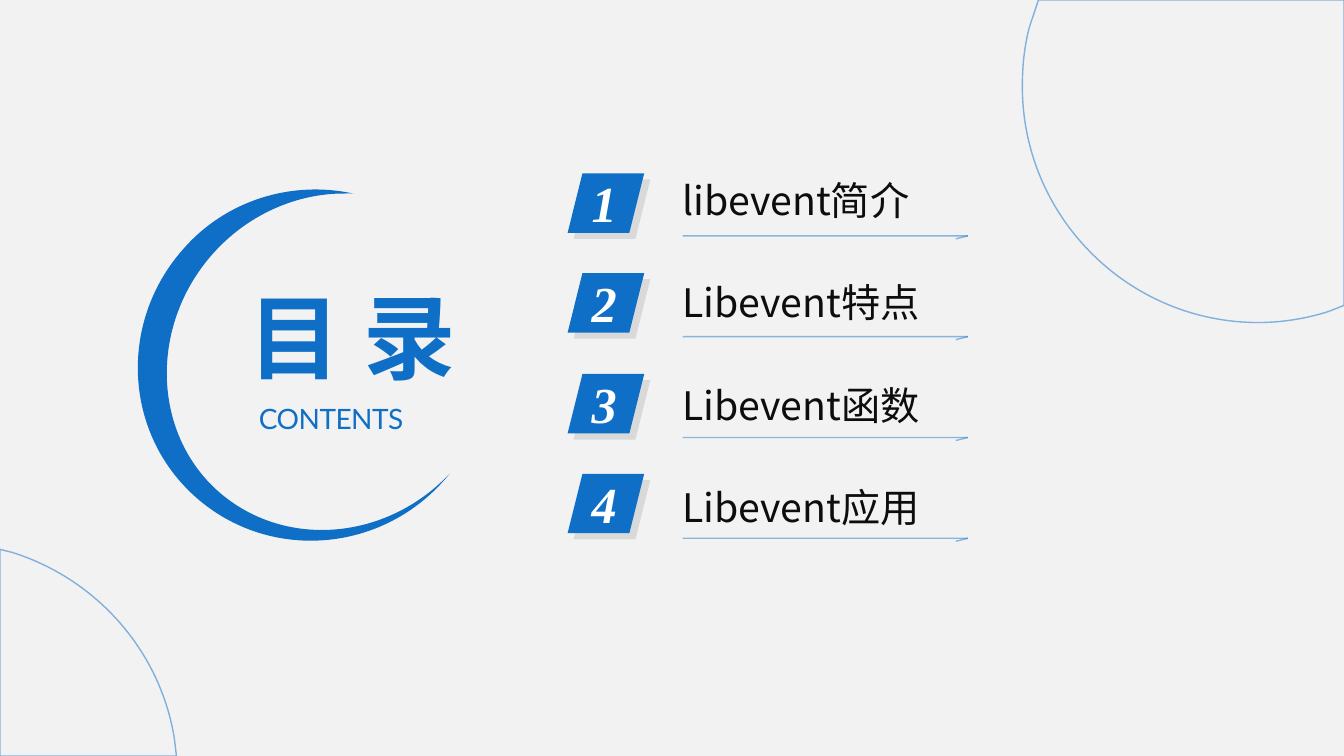
from math import cos, radians, sin

from lxml import etree
from pptx import Presentation
from pptx.dml.color import RGBColor
from pptx.enum.shapes import MSO_CONNECTOR, MSO_SHAPE
from pptx.enum.text import MSO_ANCHOR, PP_ALIGN
from pptx.oxml.ns import qn
from pptx.util import Pt

PX = 9144  # 100 px to the inch
BLUE = RGBColor(0x0F, 0x6F, 0xC6)
PALE = RGBColor(0xF2, 0xF2, 0xF2)
GREY = RGBColor(0xD9, 0xD9, 0xD9)
INK = RGBColor(0x0D, 0x0D, 0x0D)
WHITE = RGBColor(0xFF, 0xFF, 0xFF)
PARALLELOGRAM = MSO_SHAPE.PARALLELOGRAM
STRAIGHT = MSO_CONNECTOR.STRAIGHT
MIDDLE = MSO_ANCHOR.MIDDLE
LEFT = PP_ALIGN.LEFT

prs = Presentation()
prs.slide_width, prs.slide_height = 1333 * PX, 750 * PX
slide = prs.slides.add_slide(prs.slide_layouts[6])
slide.background.fill.solid()
slide.background.fill.fore_color.rgb = PALE
shapes = slide.shapes


def add_text(text, box, size, font_name, color, spacing=0):
    """Add one line of text; spacing is in hundredths of a point."""
    frame = shapes.add_textbox(*(v * PX for v in box)).text_frame
    frame.word_wrap = True
    paragraph = frame.paragraphs[0]
    paragraph.text = text
    paragraph.alignment = LEFT
    font = paragraph.font
    font.size, font.name, font.color.rgb = Pt(size), font_name, color
    run_props = paragraph.runs[0].font._element
    if spacing:
        run_props.set("spc", str(spacing))
    etree.SubElement(run_props, qn("a:ea")).set("typeface", font_name)
    return paragraph, frame


def style_line(shape, opacity):
    """Give a thin, partly transparent blue line."""
    shape.line.width = Pt(1)
    shape.line.color.rgb = BLUE
    color = shape._element.spPr.find(qn("a:ln")).find(".//" + qn("a:srgbClr"))
    etree.SubElement(color, qn("a:alpha")).set("val", str(opacity * 1000))


# Outlines: a start point, then lines (x, y) or cubic curves (two controls, end)
corner_top = [(1030, 0), (1050, 0), (1096, 0), (1333, 0), (1333, 303), (1318, 309),
              (1296, 316, 1272, 320, 1248, 320),
              (1119, 320, 1014, 215, 1014, 86),
              (1014, 65, 1016, 46, 1021, 27)]
crescent = [(351, 192), (341, 192),
            (294, 192, 245, 213, 210, 253), (148, 324, 151, 430, 217, 488),
            (280, 543, 376, 537, 439, 477), (446, 470), (441, 476),
            (377, 549, 267, 557, 195, 494), (123, 431, 117, 321, 181, 248),
            (224, 198, 290, 179, 350, 192), (351, 192)]
corner_bottom = [(0, 545), (12, 548), (95, 574, 159, 645, 173, 733),
                 (175, 750), (0, 750)]

for outline, box, turn, fill, outlined in (
        (corner_top, (1014, 0, 320, 320), 0, PALE, True),
        (crescent, (131, 205, 346, 330), 41.2, BLUE, False),
        (corner_bottom, (0, 545, 175, 205), 0, PALE, True)):
    left, top, width, height = box
    cosine, sine = cos(radians(turn)), sin(radians(turn))

    # Points inside the box, before the box is turned
    segments = []
    for segment in outline:
        pairs = []
        for x, y in zip(segment[::2], segment[1::2]):
            dx, dy = x - left - width / 2, y - top - height / 2
            pairs.append((round((width / 2 + dx * cosine + dy * sine) * PX),
                          round((height / 2 - dx * sine + dy * cosine) * PX)))
        segments.append(pairs)

    ends = [pairs[-1] for pairs in segments]
    builder = shapes.build_freeform(*ends[0])
    builder.add_line_segments(ends[1:], close=True)
    ornament = builder.convert_to_shape()
    ornament.left, ornament.top = left * PX, top * PX
    ornament.width, ornament.height = width * PX, height * PX
    ornament.rotation = turn

    # Lay the true curves into the path
    outline_path = ornament._element.spPr.find(".//" + qn("a:path"))
    outline_path.set("w", str(width * PX))
    outline_path.set("h", str(height * PX))
    for command, pairs in zip(list(outline_path), segments):
        if len(pairs) == 3:
            command.tag = qn("a:cubicBezTo")
        for point in list(command):
            command.remove(point)
        for x, y in pairs:
            etree.SubElement(command, qn("a:pt"), x=str(x), y=str(y))

    ornament.shadow.inherit = False
    ornament.fill.solid()
    ornament.fill.fore_color.rgb = fill
    if outlined:
        style_line(ornament, 50)
    else:
        ornament.line.fill.background()

# Heading
heading, _ = add_text("目录", (237, 273, 352, 121), 66, "Noto Sans CJK SC", BLUE, 1600)
heading.font.bold = True
add_text("CONTENTS", (247, 393, 210, 44), 20, "Lato", BLUE, -40)

# Agenda rows
topics = ["libevent简介", "Libevent特点", "Libevent函数", "Libevent应用"]
for row, topic in enumerate(topics):
    # Numbered badge with its grey backing
    badge_top = 172 + row * 199 // 2
    for offset, color in ((6, GREY), (0, BLUE)):
        badge = shapes.add_shape(PARALLELOGRAM, (563 + offset) * PX,
                                 (badge_top + offset) * PX, 76 * PX, 59 * PX)
        badge.shadow.inherit = False
        badge.fill.solid()
        badge.fill.fore_color.rgb = color
        badge.line.fill.background()
    number, _ = add_text(str(row + 1), (577, badge_top - 6, 58, 71), 36,
                         "Times New Roman", WHITE, 600)
    number.font.bold = number.font.italic = True

    # Underline with a small tick at its right end
    rule_y = 234 + row * 100
    for start_x, end_x, drop in ((677, 960, 0), (960, 948, 3)):
        rule = shapes.add_connector(STRAIGHT, start_x * PX, rule_y * PX,
                                    end_x * PX, (rule_y + drop) * PX)
        style_line(rule, 45)
        etree.SubElement(rule._element.spPr, qn("a:effectLst"))

    # Topic
    label, label_frame = add_text(topic, (667, 179 + row * 203 // 2, 456, 50),
                                  28, "Noto Sans CJK SC", INK)
    label.line_spacing = 0.8
    label_frame.vertical_anchor = MIDDLE
    label_frame.margin_bottom = 7 * PX

prs.save("out.pptx")
